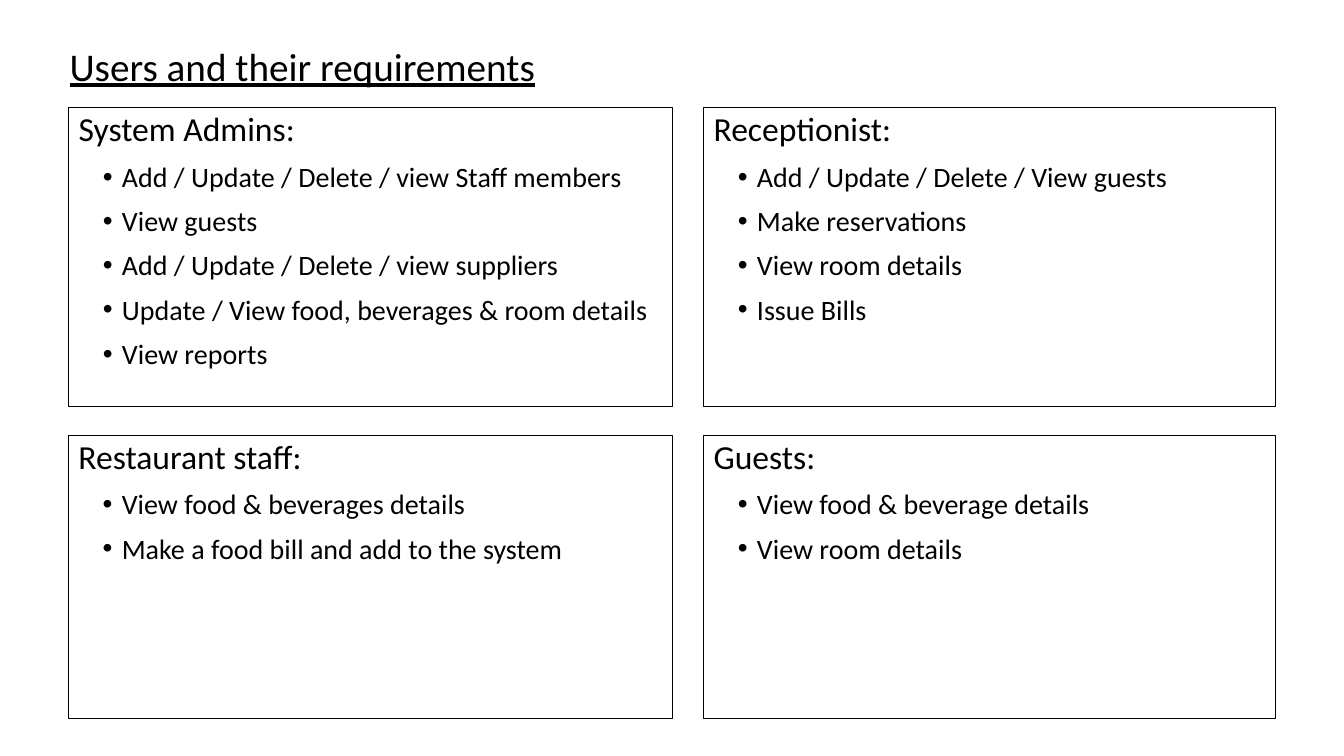
from lxml import etree
from pptx import Presentation
from pptx.dml.color import RGBColor
from pptx.enum.text import MSO_ANCHOR, MSO_AUTO_SIZE, PP_ALIGN
from pptx.oxml.ns import qn
from pptx.util import Inches, Pt

LEFT = PP_ALIGN.LEFT
TOP, BOTTOM = MSO_ANCHOR.TOP, MSO_ANCHOR.BOTTOM
NO_FIT = MSO_AUTO_SIZE.NONE

COLORS = {"text": "000000", "border": "000000", "background": "FFFFFF"}
FONT = "Calibri"

COLUMNS = [(5.1, 44.94), (52.36, 42.54)]
ROWS = [(14.27, 39.47), (57.6, 37.47)]

PANELS = [
    ("System Admins:", [
        "Add / Update / Delete / view Staff members",
        "View guests",
        "Add / Update / Delete / view suppliers",
        "Update / View food, beverages & room details",
        "View reports",
    ]),
    ("Receptionist:", [
        "Add / Update / Delete / View guests",
        "Make reservations",
        "View room details",
        "Issue Bills",
    ]),
    ("Restaurant staff:", [
        "View food & beverages details",
        "Make a food bill and add to the system",
    ]),
    ("Guests:", [
        "View food & beverage details",
        "View room details",
    ]),
]


def rgb(name):
    return RGBColor.from_string(COLORS[name])


def write(p, text, size, underline=False, before=0, bullet=False):
    pPr = p._p.get_or_add_pPr()
    pPr.set("marL", str(Inches(0.43) if bullet else 0))
    pPr.set("indent", str(Inches(-0.19) if bullet else 0))
    if bullet:
        etree.SubElement(pPr, qn("a:buFont")).set("typeface", "Arial")
        etree.SubElement(pPr, qn("a:buChar")).set("char", "•")
    else:
        etree.SubElement(pPr, qn("a:buNone"))
    p.alignment = LEFT
    p.line_spacing = 0.9
    p.space_before = Pt(before)
    r = p.add_run()
    r.text = text
    r.font.name = FONT
    r.font.size = Pt(size)
    r.font.underline = underline
    r.font.color.rgb = rgb("text")


class Deck:
    def __init__(self):
        self.prs = Presentation()
        self.prs.slide_width = Inches(13.33)
        self.prs.slide_height = Inches(7.5)
        self.s = self.prs.slides.add_slide(self.prs.slide_layouts[0])
        self.s.background.fill.solid()
        self.s.background.fill.fore_color.rgb = rgb("background")

    def box(self, column, row):
        (x, w), (y, h) = column, row
        sw, sh = self.prs.slide_width, self.prs.slide_height
        return [int(share * side / 100)
                for share, side in ((x, sw), (y, sh), (w, sw), (h, sh))]

    def frame(self, sp, column, row, anchor):
        sp.left, sp.top, sp.width, sp.height = self.box(column, row)
        tf = sp.text_frame
        tf.word_wrap = True
        tf.auto_size = NO_FIT
        tf.vertical_anchor = anchor
        return tf

    def title(self, text, column, row):
        tf = self.frame(self.s.shapes.title, column, row, BOTTOM)
        write(tf.paragraphs[0], text, 28, underline=True)

    def panel(self, heading, items, column, row, sp=None):
        sp = sp or self.s.shapes.add_textbox(*self.box(column, row))
        sp.line.color.rgb = rgb("border")
        sp.line.width = Pt(0.75)
        tf = self.frame(sp, column, row, TOP)
        write(tf.paragraphs[0], heading, 24)
        for item in items:
            write(tf.add_paragraph(), item, 20, before=10, bullet=True)


def main():
    deck = Deck()
    deck.title("Users and their requirements", (4.43, 86.72), (2.53, 10))
    body = deck.s.placeholders[1]
    for i, (heading, items) in enumerate(PANELS):
        row, column = divmod(i, len(COLUMNS))
        deck.panel(heading, items, COLUMNS[column], ROWS[row],
                   sp=body if i == 0 else None)
    deck.prs.save("out.pptx")


if __name__ == "__main__":
    main()
